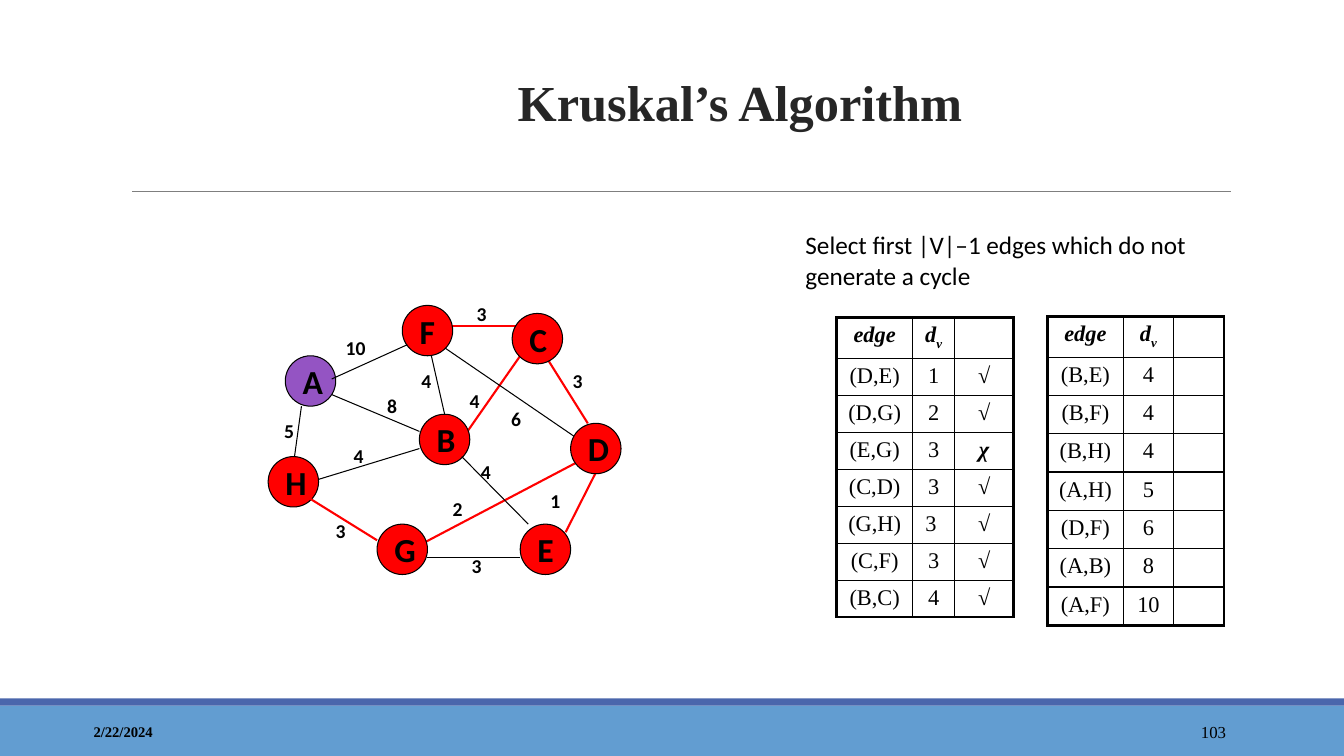
"""Build the slide that traces Kruskal's algorithm on a weighted graph."""
from dataclasses import dataclass
from typing import Any

from lxml.etree import SubElement
from pptx import Presentation
from pptx.dml.color import RGBColor
from pptx.enum.shapes import MSO_CONNECTOR, MSO_SHAPE
from pptx.enum.text import MSO_ANCHOR, PP_ALIGN
from pptx.oxml.ns import qn
from pptx.util import Inches, Pt


@dataclass(frozen=True)
class Theme:
    serif: str = "Times New Roman"
    sans: str = "Calibri"
    black: str = "000000"
    title: str = "262626"
    rule: str = "7F7F7F"
    band: str = "629DD1"
    stripe: str = "4A66AC"
    red: str = "FF0000"
    start: str = "9454C3"
    head_size: float = 36
    node_size: float = 24
    body_size: float = 18
    cell_size: float = 16
    label_size: float = 14
    page_size: float = 12
    date_size: float = 10.5
    thin: float = 0.75
    inner: float = 1
    tree: float = 1.5
    outer: float = 2.25


THEME = Theme()


@dataclass(frozen=True)
class Run:
    text: str
    size: float
    font: str = THEME.serif
    color: str = THEME.black
    bold: bool = False
    slant: bool = False
    sub: bool = False


@dataclass(frozen=True)
class Box:
    x: float
    y: float
    w: float
    h: float


@dataclass(frozen=True)
class Node:
    name: str
    x: float
    y: float
    fill: str = THEME.red


@dataclass(frozen=True)
class Edge:
    ends: tuple[float, float, float, float]
    weight: str
    x: float
    y: float
    tree: bool = False
    front: bool = False


@dataclass(frozen=True)
class Grid:
    x: float
    y: float
    cols: tuple[float, float, float]
    head: float
    row: float
    rows: tuple[tuple[str, str, str], ...]


NODES = (
    Node("A", 2.83, 3.53, THEME.start), Node("H", 2.66, 4.53),
    Node("B", 4.16, 4.11), Node("F", 3.99, 3.03),
    Node("E", 5.16, 5.2), Node("D", 5.66, 4.2),
    Node("C", 5.08, 3.11), Node("G", 3.74, 5.2),
)
EDGES = (
    Edge((6.03, 4.45, 5.61, 5.28), "1", 5.36, 4.8, tree=True),
    Edge((4.24, 3.36, 4.41, 4.11), "4", 4.08, 3.61),
    Edge((4.58, 4.36, 5.16, 3.53), "4", 4.56, 3.81, tree=True),
    Edge((5.74, 4.36, 4.41, 3.45), "6", 4.97, 3.99),
    Edge((3.08, 4.78, 4.16, 4.45), "4", 3.41, 4.36),
    Edge((4.08, 5.45, 5.83, 4.53), "2", 4.39, 4.88, tree=True),
    Edge((2.91, 4.61, 2.99, 4.03), "5", 2.72, 4.11),
    Edge((3.16, 3.86, 4.16, 4.28), "8", 3.74, 3.86),
    Edge((4.46, 3.23, 5.13, 3.23), "3", 4.63, 2.95, tree=True),
    Edge((5.41, 3.53, 5.83, 4.2), "3", 5.58, 3.61, tree=True),
    Edge((4.58, 4.53, 5.24, 5.2), "4", 4.67, 4.51, front=True),
    Edge((5.16, 5.53, 4.24, 5.53), "3", 4.58, 5.45, front=True),
    Edge((3.74, 5.36, 3.08, 4.95), "3", 3.23, 5.1, tree=True, front=True),
    Edge((3.29, 3.76, 4.04, 3.42), "10", 3.33, 3.28, front=True),
)
GRIDS = (
    Grid(8.3, 3.15, (0.75, 0.42, 0.58), 0.39, 0.35, (
        ("(D,E)", "1", "√"), ("(D,G)", "2", "√"), ("(E,G)", "3", "χ"),
        ("(C,D)", "3", "√"), ("(G,H)", "3 ", "√"), ("(C,F)", "3", "√"),
        ("(B,C)", "4", "√"))),
    Grid(10.39, 3.14, (0.75, 0.5, 0.5), 0.38, 0.38, (
        ("(B,E)", "4", ""), ("(B,F)", "4", ""), ("(B,H)", "4", ""),
        ("(A,H)", "5", ""), ("(D,F)", "6", ""), ("(A,B)", "8", ""),
        ("(A,F)", "10", ""))),
)


def write(frame: Any, runs: list[Run], align: Any = PP_ALIGN.LEFT) -> None:
    line = frame.paragraphs[0]
    line.alignment = align
    for item in runs:
        run = line.add_run()
        run.text = item.text
        font = run.font
        font.name, font.size = item.font, Pt(item.size)
        font.bold, font.italic = item.bold, item.slant
        font.color.rgb = RGBColor.from_string(item.color)
        if item.sub:
            run._r.get_or_add_rPr().set("baseline", "-25000")


def add_text(slide: Any, box: Box, run: Run, align: Any = PP_ALIGN.LEFT,
             anchor: Any = MSO_ANCHOR.TOP) -> Any:
    frame = slide.shapes.add_textbox(
        Inches(box.x), Inches(box.y), Inches(box.w), Inches(box.h)).text_frame
    frame.word_wrap = True
    frame.vertical_anchor = anchor
    write(frame, [run], align)
    return frame


def add_form(slide: Any, kind: Any, box: Box, fill: str) -> Any:
    form = slide.shapes.add_shape(
        kind, Inches(box.x), Inches(box.y), Inches(box.w), Inches(box.h))
    form.shadow.inherit = False
    form.fill.solid()
    form.fill.fore_color.rgb = RGBColor.from_string(fill)
    form.line.fill.background()
    return form


def add_line(slide: Any, ends: tuple[float, ...], color: str, width: float) -> None:
    line = slide.shapes.add_connector(
        MSO_CONNECTOR.STRAIGHT, *(Inches(end) for end in ends))
    line.line.color.rgb = RGBColor.from_string(color)
    line.line.width = Pt(width)
    SubElement(line._element.spPr, qn("a:effectLst"))


def add_edge(slide: Any, edge: Edge) -> None:
    color, width = (THEME.red, THEME.tree) if edge.tree else (THEME.black, THEME.thin)
    add_line(slide, edge.ends, color, width)


def add_node(slide: Any, node: Node) -> None:
    disc = add_form(slide, MSO_SHAPE.OVAL, Box(node.x, node.y, 0.5, 0.5), node.fill)
    disc.line.color.rgb = RGBColor.from_string(THEME.black)
    disc.line.width = Pt(THEME.thin)
    disc.text_frame.vertical_anchor = MSO_ANCHOR.MIDDLE
    write(disc.text_frame, [Run(node.name, THEME.node_size, THEME.sans, bold=True)])


def frame_cell(cell: Any, sides: dict[str, bool]) -> None:
    props = cell._tc.get_or_add_tcPr()
    for side, edge in sides.items():
        width = Pt(THEME.outer if edge else THEME.inner)
        line = SubElement(props, qn(f"a:ln{side}"), w=str(width))
        SubElement(SubElement(line, qn("a:solidFill")), qn("a:srgbClr"), val=THEME.black)
    cell.fill.background()


def add_grid(slide: Any, grid: Grid) -> None:
    size = THEME.cell_size
    title = [[Run("edge", size, bold=True, slant=True)],
             [Run("d", size, bold=True, slant=True),
              Run("v", size, bold=True, slant=True, sub=True)], []]
    body = [[[Run(text, size, bold=col == 2, slant=col == 2)] if text else []
             for col, text in enumerate(row)] for row in grid.rows]
    cells = [title, *body]
    high = grid.head + grid.row * len(body)
    table = slide.shapes.add_table(
        len(cells), len(grid.cols), Inches(grid.x), Inches(grid.y),
        Inches(sum(grid.cols)), Inches(high)).table
    table.first_row = table.horz_banding = False
    for col, width in enumerate(grid.cols):
        table.columns[col].width = Inches(width)
    for row, line in enumerate(cells):
        table.rows[row].height = Inches(grid.row if row else grid.head)
        for col, runs in enumerate(line):
            cell = table.cell(row, col)
            frame_cell(cell, {"L": col == 0, "R": col == len(line) - 1,
                              "T": row == 0, "B": row == len(cells) - 1})
            if runs:
                write(cell.text_frame, runs, PP_ALIGN.CENTER)
            else:
                cell.margin_top = cell.margin_bottom = 0


def main() -> None:
    deck = Presentation()
    deck.slide_width, deck.slide_height = Inches(13.33), Inches(7.5)
    slide = deck.slides.add_slide(deck.slide_layouts[6])
    add_form(slide, MSO_SHAPE.RECTANGLE, Box(0, 7, 13.33, 0.5), THEME.band)
    add_form(slide, MSO_SHAPE.RECTANGLE, Box(0, 6.93, 13.33, 0.07), THEME.stripe)
    add_line(slide, (1.31, 1.9, 12.21, 1.9), THEME.rule, THEME.thin)
    add_text(slide, Box(0.83, 7.06, 3, 0.4),
             Run("2/22/2024", THEME.date_size, bold=True), anchor=MSO_ANCHOR.MIDDLE)
    add_text(slide, Box(10.83, 7.06, 1.43, 0.4), Run("103", THEME.page_size),
             PP_ALIGN.RIGHT, MSO_ANCHOR.MIDDLE)
    add_text(slide, Box(7.89, 2.23, 4.42, 0.77),
             Run("Select first |V|–1 edges which do not generate a cycle",
                 THEME.body_size, THEME.sans))
    for grid in GRIDS:
        add_grid(slide, grid)
    for edge in EDGES:
        if not edge.front:
            add_edge(slide, edge)
    for node in NODES:
        add_node(slide, node)
    for edge in EDGES:
        if edge.front:
            add_edge(slide, edge)
        add_text(slide, Box(edge.x, edge.y, 0.52, 0.33),
                 Run(edge.weight, THEME.label_size, THEME.sans, bold=True))
    title = add_text(
        slide, Box(1.84, 0.3, 11, 1.06),
        Run("Kruskal’s Algorithm", THEME.head_size, color=THEME.title, bold=True),
        PP_ALIGN.CENTER, MSO_ANCHOR.BOTTOM)
    title.paragraphs[0].line_spacing = 1.1
    deck.save("out.pptx")


if __name__ == "__main__":
    main()
